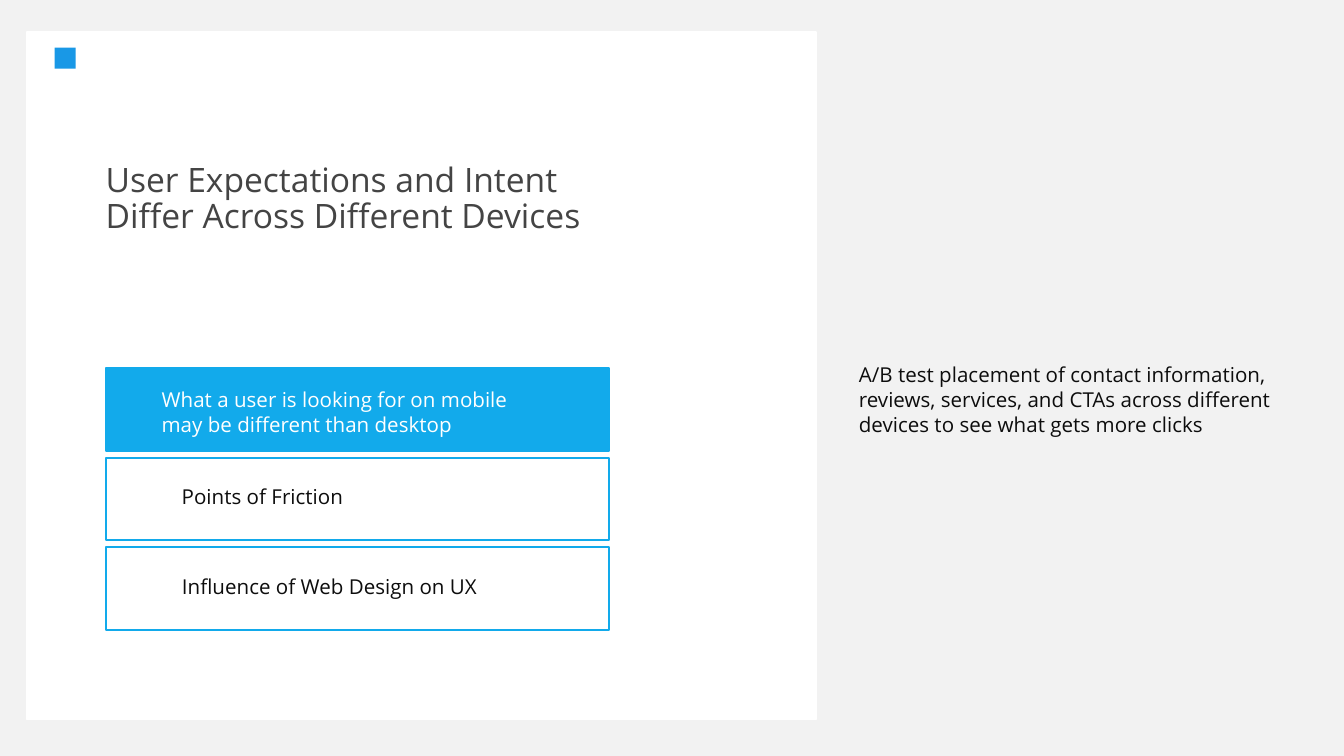
from pptx import Presentation
from pptx.dml.color import RGBColor
from pptx.enum.shapes import MSO_SHAPE
from pptx.enum.text import MSO_AUTO_SIZE, PP_ALIGN
from pptx.util import Pt

RECT = MSO_SHAPE.RECTANGLE
GROW = MSO_AUTO_SIZE.SHAPE_TO_FIT_TEXT
LEFT, CENTER = PP_ALIGN.LEFT, PP_ALIGN.CENTER
SCALE = 9525
FONT = "Open Sans"
COLORS = {
    "back": "F2F2F2",
    "white": "FFFFFF",
    "blue": "12AAEB",
    "mark": "1998E6",
    "title": "444444",
    "ink": "0D0D0D",
}


def color(name):
    """Return the named colour."""
    return RGBColor.from_string(COLORS[name])


def emu(box):
    """Turn a box in px into EMU."""
    return [n * SCALE for n in box]


def add_rect(slide, box, fill=None, line=None):
    """Add a rectangle with an optional fill and line."""
    shape = slide.shapes.add_shape(RECT, *emu(box))
    shape.shadow.inherit = False
    if fill:
        shape.fill.solid()
        shape.fill.fore_color.rgb = color(fill)
    else:
        shape.fill.background()
    if line:
        shape.line.color.rgb = color(line)
        shape.line.width = Pt(1)
    else:
        shape.line.fill.background()


def add_text(slide, box, text, ink="ink", size=11, wrap=True, align=LEFT):
    """Add a text box and return its paragraph."""
    frame = slide.shapes.add_textbox(*emu(box)).text_frame
    frame.word_wrap = wrap
    frame.auto_size = GROW
    para = frame.paragraphs[0]
    para.text = text
    para.alignment = align
    para.font.name = FONT
    para.font.size = Pt(size)
    para.font.color.rgb = color(ink)
    return para


def add_panel(slide, box):
    """Add the white panel with its mark and title."""
    x, y, _, _ = box
    add_rect(slide, box, "white", "white")
    add_rect(slide, (x + 20, y + 11, 15, 15), "mark")
    title = add_text(
        slide, (x + 47, y + 89, 388, 62),
        "User Expectations and Intent Differ Across Different Devices",
        "title", 18)
    title.line_spacing = 0.9
    title.space_after = Pt(0.9)


def add_topics(slide, box):
    """Add three stacked topic cards, the first one active."""
    x, y, w, h = box
    card = 59
    step = (h - card) // 2
    for i in range(3):
        fill = None if i else "blue"
        add_rect(slide, (x, y + i * step, w, card), fill, "blue")
    labels = (("Points of Friction", 135), ("Influence of Web Design on UX", 231))
    for i, (text, width) in enumerate(labels, 1):
        add_text(slide, (x + 44, y + i * step + 14, width, 28), text,
                 wrap=False, align=CENTER)
    add_text(slide, (x + 30, y + 9, 284, 45),
             "What a user is looking for on mobile may be different than desktop",
             "white")


def add_tip(slide, box):
    """Add the tip beside the panel."""
    add_text(slide, box,
             "A/B test placement of contact information, reviews, services, "
             "and CTAs across different devices to see what gets more clicks")


def main():
    """Build and save the slide."""
    deck = Presentation()
    deck.slide_width, deck.slide_height = emu((960, 540))
    slide = deck.slides.add_slide(deck.slide_layouts[6])
    slide.background.fill.solid()
    slide.background.fill.fore_color.rgb = color("back")
    add_panel(slide, (19, 23, 564, 491))
    add_topics(slide, (76, 263, 359, 187))
    add_tip(slide, (604, 254, 321, 63))
    deck.save("out.pptx")


if __name__ == "__main__":
    main()
